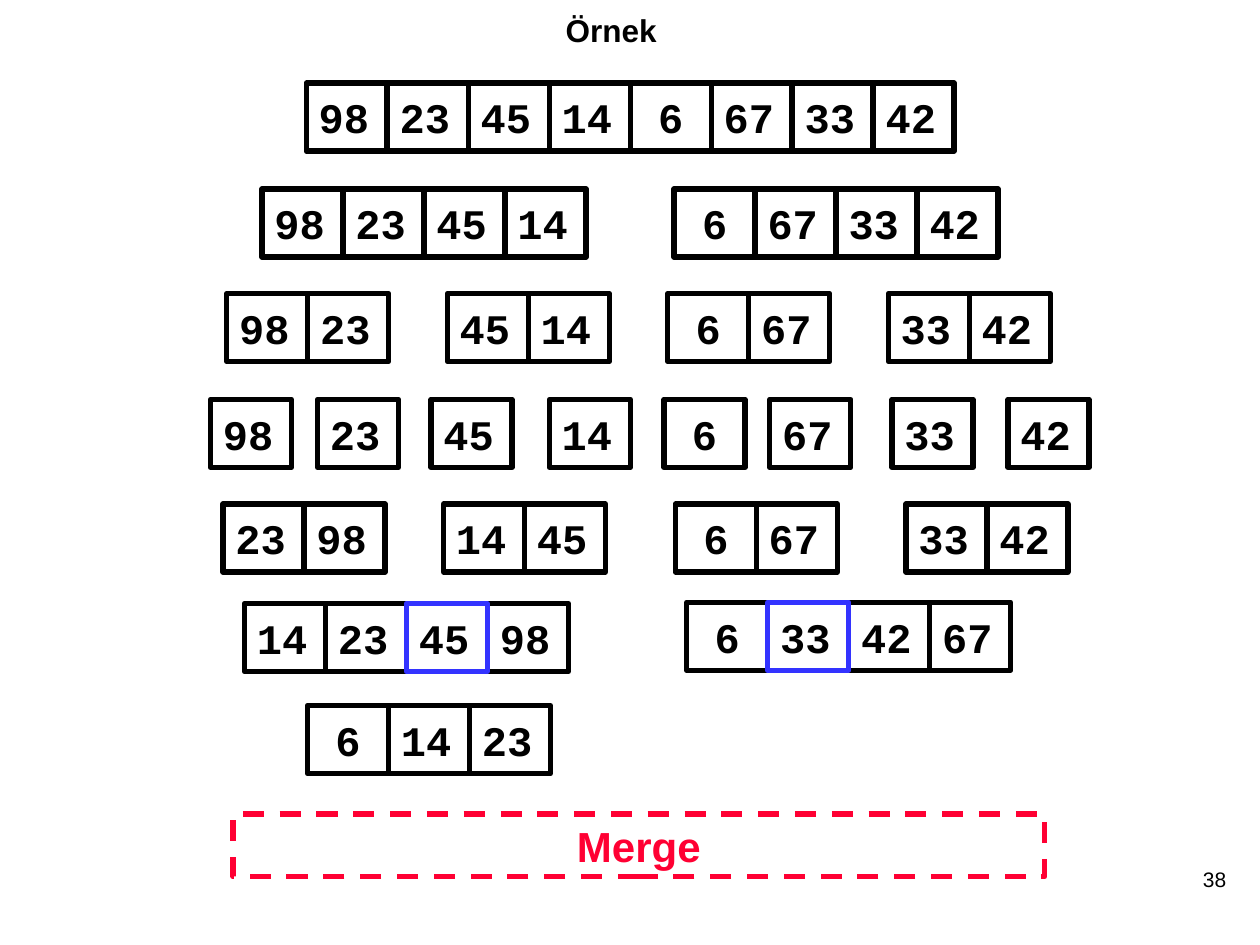
from dataclasses import dataclass

from pptx import Presentation
from pptx.dml.color import RGBColor
from pptx.enum.dml import MSO_LINE
from pptx.enum.shapes import MSO_SHAPE
from pptx.enum.text import MSO_ANCHOR, MSO_AUTO_SIZE, PP_ALIGN
from pptx.util import Inches, Pt


@dataclass(frozen=True)
class Theme:
    ink: RGBColor = RGBColor(0x00, 0x00, 0x00)
    highlight: RGBColor = RGBColor(0x33, 0x33, 0xFF)
    accent: RGBColor = RGBColor(0xFF, 0x00, 0x33)
    sans: str = "Arial"
    mono: str = "Courier New"
    number_size: Pt = Pt(24)
    title_size: Pt = Pt(18)
    footer_size: Pt = Pt(12)
    border: Pt = Pt(3)


theme = Theme()
deck = Presentation()
deck.slide_width = Inches(10)
deck.slide_height = Inches(7.5)
page = deck.slides.add_slide(deck.slide_layouts[6])


def write(box, text, size, font, color, bold, align, wrap):
    frame = box.text_frame
    frame.text = text
    frame.word_wrap = wrap
    para = frame.paragraphs[0]
    para.alignment = align
    span = para.runs[0]
    span.font.size = size
    span.font.name = font
    span.font.bold = bold
    span.font.color.rgb = color


def add_frame(left, top, width, height, color):
    box = page.shapes.add_shape(MSO_SHAPE.RECTANGLE, left, top, width, height)
    box.shadow.inherit = False
    box.fill.background()
    box.line.color.rgb = color
    box.line.width = theme.border
    return box


cell_width = Inches(4.5) // 7
cell_height = Inches(0.54)
rows = [
    (0.66, [(2.43, [98, 23, 45, 14, 6, 67, 33, 42])]),
    (1.5, [(2.08, [98, 23, 45, 14]), (5.35, [6, 67, 33, 42])]),
    (2.33, [(1.8, [98, 23]), (3.55, [45, 14]), (5.3, [6, 67]), (7.05, [33, 42])]),
    (3.17, [(1.67, [98]), (2.52, [23]), (3.42, [45]), (4.36, [14]),
            (5.27, [6]), (6.11, [67]), (7.08, [33]), (8, [42])]),
    (4, [(1.77, [23, 98]), (3.52, [14, 45]), (5.36, [6, 67]), (7.19, [33, 42])]),
    (4.79, [(1.94, [14, 23, 45, 98])]),
    (4.78, [(5.45, [6, 33, 42, 67])]),
    (5.6, [(2.44, [6, 14, 23])]),
]
next_to_merge = {(4.79, 45), (4.78, 33)}

cells = [
    (Inches(left) + index * cell_width, Inches(top), number, (top, number) in next_to_merge)
    for top, groups in rows
    for left, numbers in groups
    for index, number in enumerate(numbers)
]
for left, top, number, highlighted in sorted(cells, key=lambda cell: cell[3]):
    border_color = theme.highlight if highlighted else theme.ink
    box = add_frame(left, top, cell_width, cell_height, border_color)
    align = PP_ALIGN.CENTER if number < 10 else PP_ALIGN.LEFT
    write(box, str(number), theme.number_size, theme.mono, theme.ink, True, align, False)
    box.text_frame.vertical_anchor = MSO_ANCHOR.MIDDLE

merge_box = add_frame(Inches(1.85), Inches(6.46), Inches(6.44), Inches(0.5), theme.accent)
merge_box.line.dash_style = MSO_LINE.DASH
write(merge_box, "Merge", theme.number_size, theme.sans, theme.accent, True, PP_ALIGN.CENTER, True)
merge_box.text_frame.vertical_anchor = MSO_ANCHOR.TOP
merge_box.text_frame.auto_size = MSO_AUTO_SIZE.SHAPE_TO_FIT_TEXT

title_box = page.shapes.add_textbox(Inches(4.39), Inches(0.04), Inches(0.92), Inches(0.4))
write(title_box, "Örnek", theme.title_size, theme.sans, theme.ink, True, PP_ALIGN.CENTER, False)
title_box.text_frame.auto_size = MSO_AUTO_SIZE.SHAPE_TO_FIT_TEXT

number_box = page.shapes.add_textbox(Inches(8.58), Inches(6.83), Inches(1.25), Inches(0.52))
write(number_box, "38", theme.footer_size, theme.sans, theme.ink, False, PP_ALIGN.RIGHT, True)

deck.save("out.pptx")
